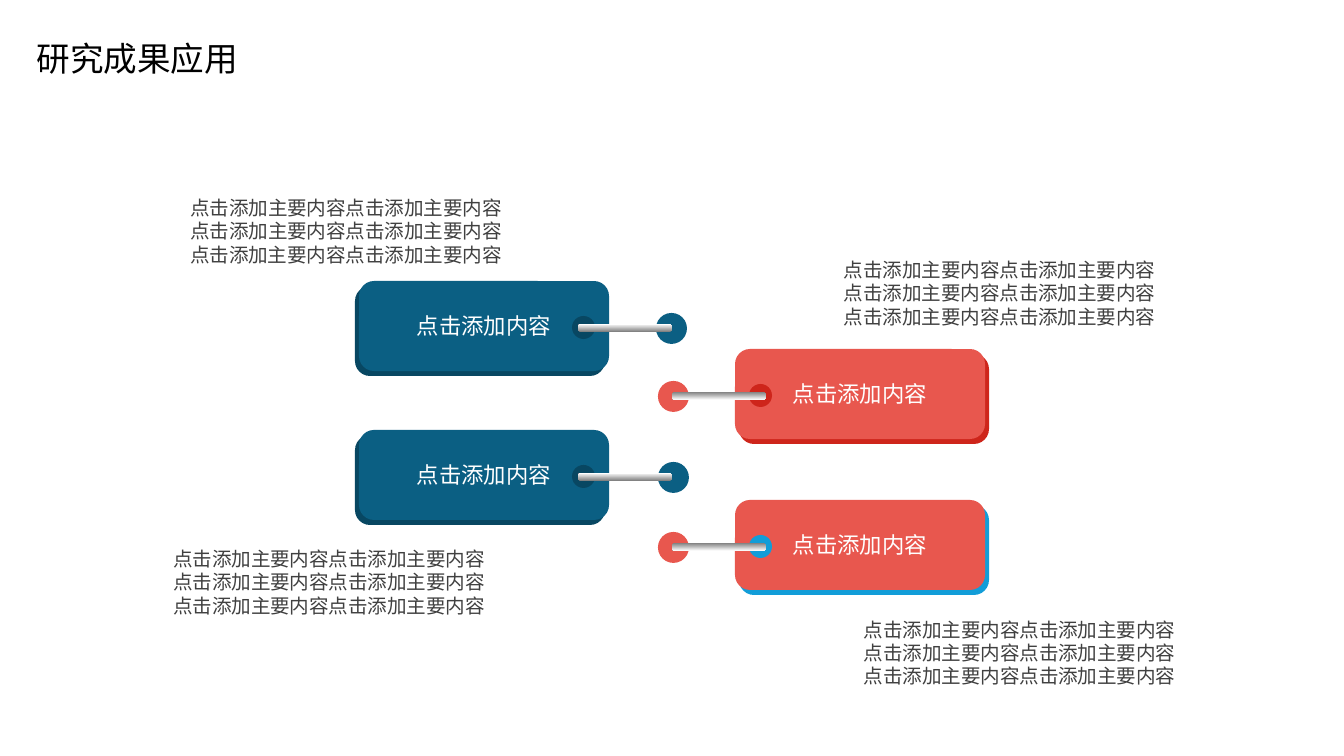
"""Build the research results slide with four pinned cards."""
import pptx
import pptx.dml.color
import pptx.enum.shapes
import pptx.enum.text
import pptx.util
from lxml import etree
from pptx.oxml.ns import qn

ALIGN = pptx.enum.text.PP_ALIGN
ANCHOR = pptx.enum.text.MSO_ANCHOR
SHAPE = pptx.enum.shapes.MSO_SHAPE

TITLE = "研究成果应用"
LABEL = "点击添加内容"
DETAIL = "点击添加主要内容" * 6
CARDS = [
    {"side": "left", "top": 281, "dot": 656, "shade": "navy", "detail": (173, 196)},
    {"side": "right", "top": 349, "dot": 658, "shade": "crimson", "detail": (844, 258)},
    {"side": "left", "top": 430, "dot": 658, "shade": "navy", "detail": (156, 547)},
    {"side": "right", "top": 500, "dot": 658, "shade": "sky", "detail": (864, 618)},
]
SIDES = {
    "left": {"card": 359, "shift": -4, "pin": 572, "bar": 578,
             "face": "blue", "align": ALIGN.RIGHT, "angle": 90},
    "right": {"card": 735, "shift": 4, "pin": 749, "bar": 672,
              "face": "red", "align": ALIGN.LEFT, "angle": 270},
}
THEME = {
    "font": "Noto Sans CJK SC",
    "sizes": {"title": 18, "label": 12, "detail": 10.5},
    "colors": {"blue": "0B5F83", "navy": "084762", "red": "E8574E",
               "crimson": "CE251B", "sky": "129DD8", "black": "000000",
               "white": "FFFFFF", "gray": "808080", "text": "404040"},
}
SCALE = 914400 / 134.4
CARD_W, CARD_H = 250, 90
DOT, PIN = 31, 23
BAR_W, BAR_H = 94, 8


def px(*lengths):
    return [pptx.util.Emu(round(length * SCALE)) for length in lengths]


def color(name):
    return pptx.dml.color.RGBColor.from_string(THEME["colors"][name])


def apply(target, values):
    for name, value in values.items():
        setattr(target, name, value)


def write(frame, text, role, ink, frame_format, paragraph_format):
    apply(frame, frame_format)
    paragraph = frame.paragraphs[0]
    apply(paragraph, paragraph_format)
    run = paragraph.add_run()
    run.text = text
    apply(run.font, {"name": THEME["font"],
                     "size": pptx.util.Pt(THEME["sizes"][role])})
    run.font.color.rgb = color(ink)
    east_asian = etree.SubElement(run.font._element, qn("a:ea"))
    east_asian.set("typeface", THEME["font"])


def add_part(slide, kind, box, fill=None):
    part = slide.shapes.add_shape(kind, *px(*box))
    part.shadow.inherit = False
    part.line.fill.background()
    if fill:
        part.fill.solid()
        part.fill.fore_color.rgb = color(fill)
    return part


def add_bar(slide, left, top, angle):
    bar = add_part(slide, SHAPE.ROUNDED_RECTANGLE, (left, top, BAR_W, BAR_H))
    bar.adjustments[0] = 0.385
    bar.fill.gradient()
    bar.fill.gradient_angle = angle
    for stop, (position, name) in zip(bar.fill.gradient_stops,
                                      [(0.02, "gray"), (1, "white")]):
        stop.position = position
        stop.color.rgb = color(name)


def add_card(slide, card):
    side, top = SIDES[card["side"]], card["top"]
    left = side["card"]
    add_part(slide, SHAPE.ROUNDED_RECTANGLE,
             (left + side["shift"], top + 5, CARD_W, CARD_H), card["shade"])
    face = add_part(slide, SHAPE.ROUNDED_RECTANGLE,
                    (left, top, CARD_W, CARD_H), side["face"])
    write(face.text_frame, LABEL, "label", "white",
          {"vertical_anchor": ANCHOR.MIDDLE, "word_wrap": True},
          {"alignment": ALIGN.CENTER})
    add_part(slide, SHAPE.OVAL, (side["pin"], top + 35, PIN, PIN), card["shade"])
    add_bar(slide, side["bar"], top + 43, side["angle"])


def add_detail(slide, card):
    box = slide.shapes.add_textbox(*px(*card["detail"], 329, 71))
    margins = {f"margin_{edge}": 0 for edge in ("left", "top", "right", "bottom")}
    write(box.text_frame, DETAIL, "detail", "text",
          {"word_wrap": True, **margins},
          {"alignment": SIDES[card["side"]]["align"],
           "line_spacing": pptx.util.Pt(12.5)})


def main():
    deck = pptx.Presentation()
    deck.slide_width, deck.slide_height = px(1344, 756)
    slide = deck.slides.add_slide(deck.slide_layouts[5])
    title = slide.shapes.title
    apply(title, dict(zip(("left", "top", "width", "height"), px(23, 31, 231, 54))))
    write(title.text_frame, TITLE, "title", "black",
          {"word_wrap": False, "vertical_anchor": ANCHOR.MIDDLE},
          {"alignment": ALIGN.LEFT})
    for card in CARDS:
        add_part(slide, SHAPE.OVAL, (card["dot"], card["top"] + 32, DOT, DOT),
                 SIDES[card["side"]]["face"])
    for card in CARDS:
        add_card(slide, card)
    for card in CARDS:
        add_detail(slide, card)
    deck.save("out.pptx")


if __name__ == "__main__":
    main()
